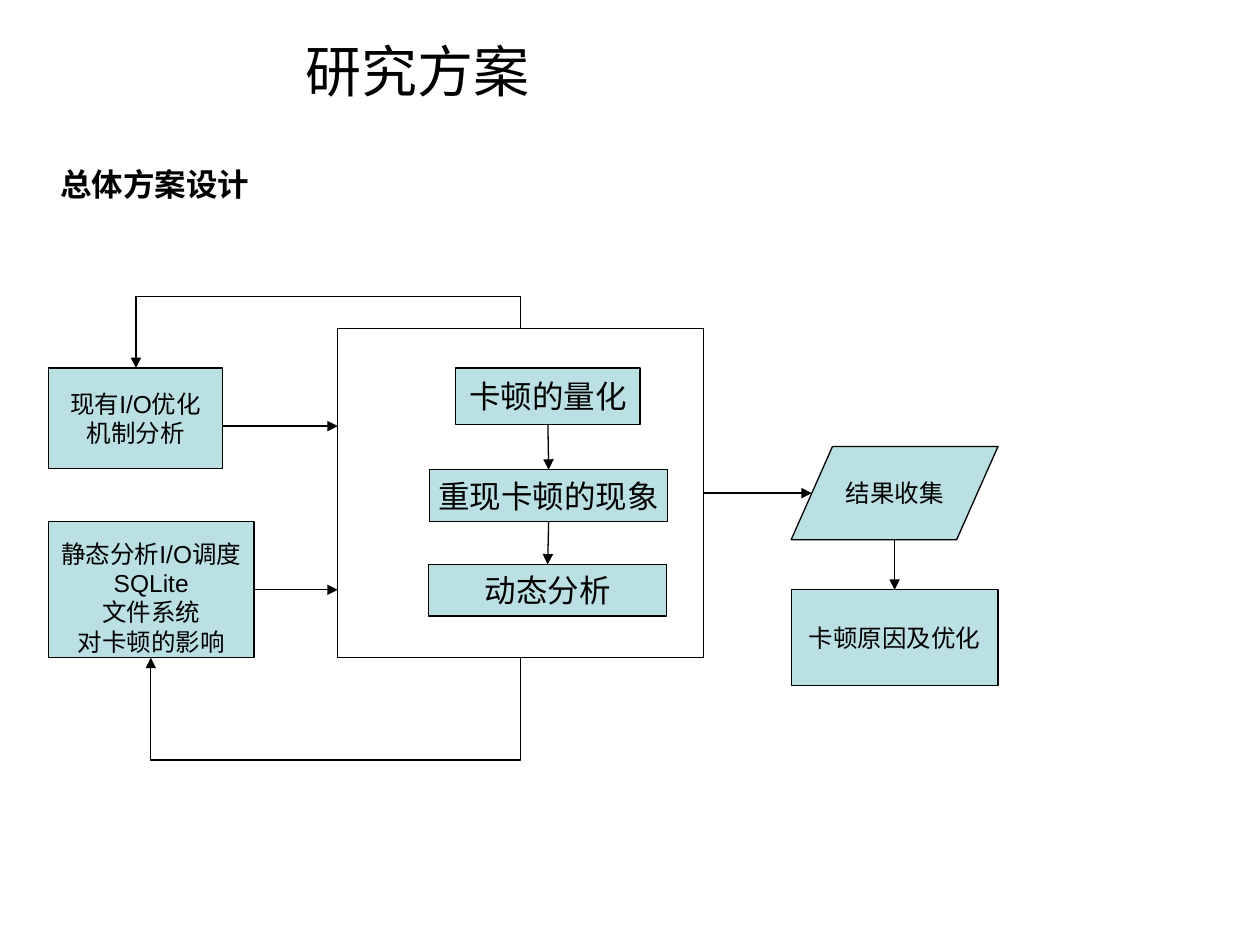
from pptx import Presentation
from pptx.dml.color import RGBColor
from pptx.enum.shapes import MSO_CONNECTOR, MSO_SHAPE
from pptx.enum.text import MSO_ANCHOR, PP_ALIGN
from pptx.oxml.ns import qn
from pptx.util import Cm, Pt
from lxml.etree import SubElement

INK = "000000"
TEAL = "BBE0E3"


def color(code):
    return RGBColor.from_string(code)


def style(item, values):
    for name, value in values.items():
        setattr(item, name, value)


def write(shape, lines, size, face="Arial", bold=False, align=PP_ALIGN.CENTER, **frame):
    text = shape.text_frame
    style(text, {"word_wrap": False, "vertical_anchor": MSO_ANCHOR.MIDDLE, **frame})
    text.text = "\n".join(lines)
    for para in text.paragraphs:
        para.alignment = align
        style(para.font, {"name": face, "size": Pt(size), "bold": bold})
        para.font.color.rgb = color(INK)


def label(slide, area, line, size, **look):
    box = slide.shapes.add_textbox(*map(Cm, area))
    write(box, [line], size, align=PP_ALIGN.LEFT, word_wrap=True, **look)


def block(slide, area, lines=(), size=14, kind=MSO_SHAPE.FLOWCHART_PROCESS, **frame):
    shape = slide.shapes.add_shape(kind, *map(Cm, area))
    shape.shadow.inherit = False
    shape.line.color.rgb = color(INK)
    shape.line.width = Pt(0.75)
    if lines:
        shape.fill.solid()
        shape.fill.fore_color.rgb = color(TEAL)
        write(shape, lines, size, **frame)
    else:
        shape.fill.background()
    return shape


def arrow(slide, start, end, kind=MSO_CONNECTOR.STRAIGHT):
    link = slide.shapes.add_connector(kind, *map(Cm, (*start, *end)))
    link.line.color.rgb = color(INK)
    link.line.width = Pt(0.75)
    props = link._element.spPr
    SubElement(props.find(qn("a:ln")), qn("a:tailEnd"), type="triangle")
    SubElement(props, qn("a:effectLst"))
    return link


def bend(slide, start, end, level):
    (right, top), (left, low) = start, end
    mid_x, mid_y = (left + right) / 2, (top + low) / 2
    half_w, half_h = (low - top) / 2, (right - left) / 2
    link = arrow(slide, (mid_x - half_w, mid_y - half_h),
                 (mid_x + half_w, mid_y + half_h), MSO_CONNECTOR.ELBOW)
    props = link._element.spPr
    props.find(qn("a:xfrm")).set("rot", "5400000")
    geom = props.find(qn("a:prstGeom"))
    guides = geom.find(qn("a:avLst"))
    if guides is None:
        guides = SubElement(geom, qn("a:avLst"))
    ratio = round((level - top) / (low - top) * 100000)
    SubElement(guides, qn("a:gd"), name="adj1", fmla=f"val {ratio}")


def heading(slide, x, y):
    label(slide, (x + 4.93, y, 19, 1.78), "研究方案", 32, face="League Spartan")
    label(slide, (x, y + 2.67, 6.88, 1.02), "总体方案设计", 18, bold=True,
          vertical_anchor=MSO_ANCHOR.TOP)


def core(slide, x, y, w, h):
    steps = [
        block(slide, (x + 2.38, y + 0.79, 3.71, 1.14), ["卡顿的量化"], 18),
        block(slide, (x + 1.85, y + 2.84, 4.8, 1.04), ["重现卡顿的现象"], 18),
        block(slide, (x + 1.83, y + 4.75, 4.8, 1.04), ["动态分析"], 18),
    ]
    for upper, lower in zip(steps, steps[1:]):
        link = arrow(slide, (x, y), (x, y))
        link.begin_connect(upper, 2)
        link.end_connect(lower, 0)
    return block(slide, (x, y, w, h), kind=MSO_SHAPE.RECTANGLE)


def inputs(slide, x, y, edge):
    block(slide, (x, y, 3.51, 2.03), ["现有I/O优化", "机制分析"])
    static = block(slide, (x, y + 3.1, 4.14, 2.74),
                   ["静态分析I/O调度", "SQLite", "文件系统", "对卡顿的影响"],
                   margin_top=Cm(0.43))
    arrow(slide, (x + 3.51, y + 1.17), (edge, y + 1.17))
    link = arrow(slide, (x + 4.14, y + 4.47), (edge, y + 4.47))
    link.begin_connect(static, 3)


def outputs(slide, x, y, frame):
    w, h = 4.17, 1.88
    block(slide, (x, y, w, h), ["结果收集"], kind=MSO_SHAPE.FLOWCHART_DATA)
    cause = block(slide, (x, y + 2.89, w, 1.93), ["卡顿原因及优化"])
    link = arrow(slide, (x, y), (x + w / 10, y + h / 2))
    link.begin_connect(frame, 3)
    link = arrow(slide, (x + w / 2, y + h), (x + w / 2, y + 2.89))
    link.end_connect(cause, 0)


def loops(slide, x, y, w, h):
    mid = x + w / 2
    bend(slide, (mid, y), (2.74, y + 0.79), y - 0.66)
    bend(slide, (mid, y + h), (3.04, y + h + 0.01), y + h + 2.07)


def main():
    deck = Presentation()
    style(deck, {"slide_width": Cm(25.4), "slide_height": Cm(19.05)})
    slide = deck.slides.add_slide(deck.slide_layouts[6])
    area = (6.81, 6.63, 7.37, 6.62)
    heading(slide, 0.97, 0.53)
    frame = core(slide, *area)
    inputs(slide, 0.98, 7.42, area[0])
    loops(slide, *area)
    outputs(slide, 15.95, 9, frame)
    deck.save("out.pptx")


if __name__ == "__main__":
    main()
